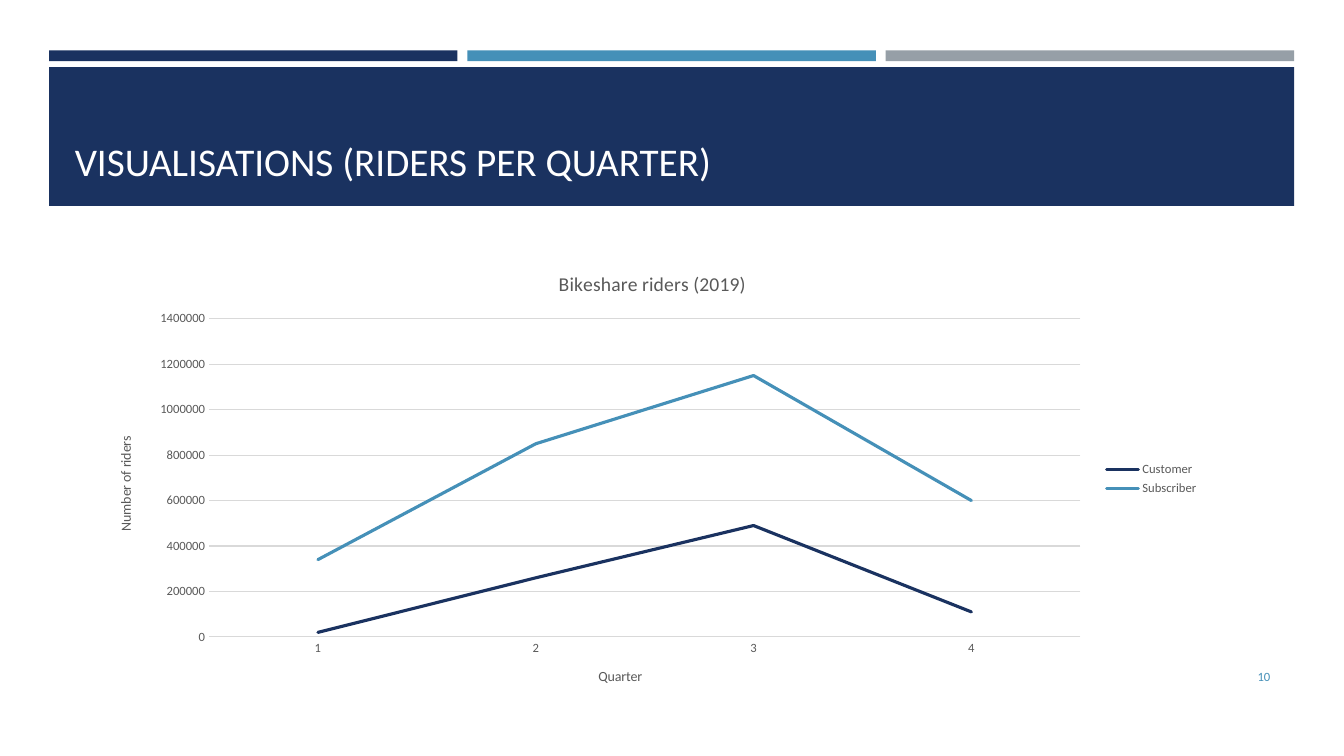
"""Build the quarterly bikeshare riders slide."""
from pptx import Presentation
from pptx import util as u
from pptx.chart.data import CategoryChartData
from pptx.dml.color import RGBColor
from pptx.enum import chart as ch, shapes, text
from pptx.util import Cm, Pt

FONT = "Calibri"
NAVY, BLUE, SILVER = "1A3260", "4590B8", "969FA7"
GREY, RULE, WHITE = "595959", "D9D9D9", "FFFFFF"
TITLE = "VISUALISATIONS (RIDERS PER QUARTER)"
CHART_TITLE = "Bikeshare riders (2019)"
QUARTERS = ["1", "2", "3", "4"]
RIDERS = [
    ("Customer", NAVY, (20000, 260000, 490000, 110000)),
    ("Subscriber", BLUE, (340000, 850000, 1150000, 600000)),
]
LEFT, BAR_W, BAR_GAP = 1.24, 10.29, 0.25


def rgb(code):
    return RGBColor.from_string(code)


def style(font, size, color):
    font.name, font.size, font.bold = FONT, Pt(size), False
    font.color.rgb = rgb(color)


def line(fmt, color, width):
    fmt.line.color.rgb, fmt.line.width = rgb(color), Pt(width)


def rect(x, y, w, h, color):
    sp = s.shapes.add_shape(shapes.MSO_SHAPE.RECTANGLE, Cm(x), Cm(y), Cm(w), Cm(h))
    sp.shadow.inherit = False
    sp.fill.solid()
    sp.fill.fore_color.rgb = rgb(color)
    sp.line.fill.background()


def place(sp, x, y, w, h):
    sp.left, sp.top, sp.width, sp.height = Cm(x), Cm(y), Cm(w), Cm(h)


def write(sp, words, size, color, align, anchor):
    tf = sp.text_frame
    tf.text, tf.word_wrap, tf.vertical_anchor = words, True, anchor
    p = tf.paragraphs[0]
    p.alignment = align
    style(p.font, size, color)


def caption(owner, words, size):
    owner.has_title = True
    tf = (owner.chart_title if owner is chart else owner.axis_title).text_frame
    tf.text = words
    style(tf.paragraphs[0].font, size, GREY)


prs = Presentation()
prs.slide_width, prs.slide_height = u.Inches(13.333), u.Inches(7.5)
s = prs.slides.add_slide(prs.slide_layouts[5])

for i, color in enumerate((NAVY, BLUE, SILVER)):
    rect(LEFT + i * (BAR_W + BAR_GAP), 1.27, BAR_W, 0.27, color)
rect(LEFT, 1.69, 3 * BAR_W + 2 * BAR_GAP, 3.5, NAVY)

title = s.shapes.title
title.element.getparent().append(title.element)
place(title, 1.63, 2.03, 30.63, 2.74)
write(title, TITLE, 28, WHITE, text.PP_ALIGN.LEFT, text.MSO_ANCHOR.BOTTOM)

data = CategoryChartData()
data.categories = QUARTERS
for name, color, values in RIDERS:
    data.add_series(name, values)
chart = s.shapes.add_chart(ch.XL_CHART_TYPE.LINE, Cm(2.42), Cm(6.35),
                           Cm(28.04), Cm(11.43), data).chart
style(chart.font, 9, GREY)
caption(chart, CHART_TITLE, 14)
chart.plots[0].vary_by_categories = False
for series, (name, color, values) in zip(chart.plots[0].series, RIDERS):
    series.smooth = False
    series.marker.style = ch.XL_MARKER_STYLE.NONE
    line(series.format, color, 2.25)
    series.format.line._get_or_add_ln().set("cap", "rnd")

chart.has_legend = True
chart.legend.position = ch.XL_LEGEND_POSITION.RIGHT
chart.legend.include_in_layout = False
style(chart.legend.font, 9, GREY)

cat, val = chart.category_axis, chart.value_axis
for axis, words in ((cat, "Quarter"), (val, "Number of riders")):
    caption(axis, words, 10)
    style(axis.tick_labels.font, 9, GREY)
    axis.major_tick_mark = axis.minor_tick_mark = ch.XL_TICK_MARK.NONE
line(cat.format, RULE, 0.75)
val.format.line.fill.background()
val.has_major_gridlines = True
line(val.major_gridlines.format, RULE, 0.75)
val.minimum_scale, val.maximum_scale, val.major_unit = 0, 1400000, 200000

number = s.shapes.add_textbox(Cm(29.34), Cm(16.54), Cm(2.92), Cm(1.02))
write(number, "10", 9, BLUE, text.PP_ALIGN.RIGHT, text.MSO_ANCHOR.MIDDLE)

prs.save("out.pptx")
